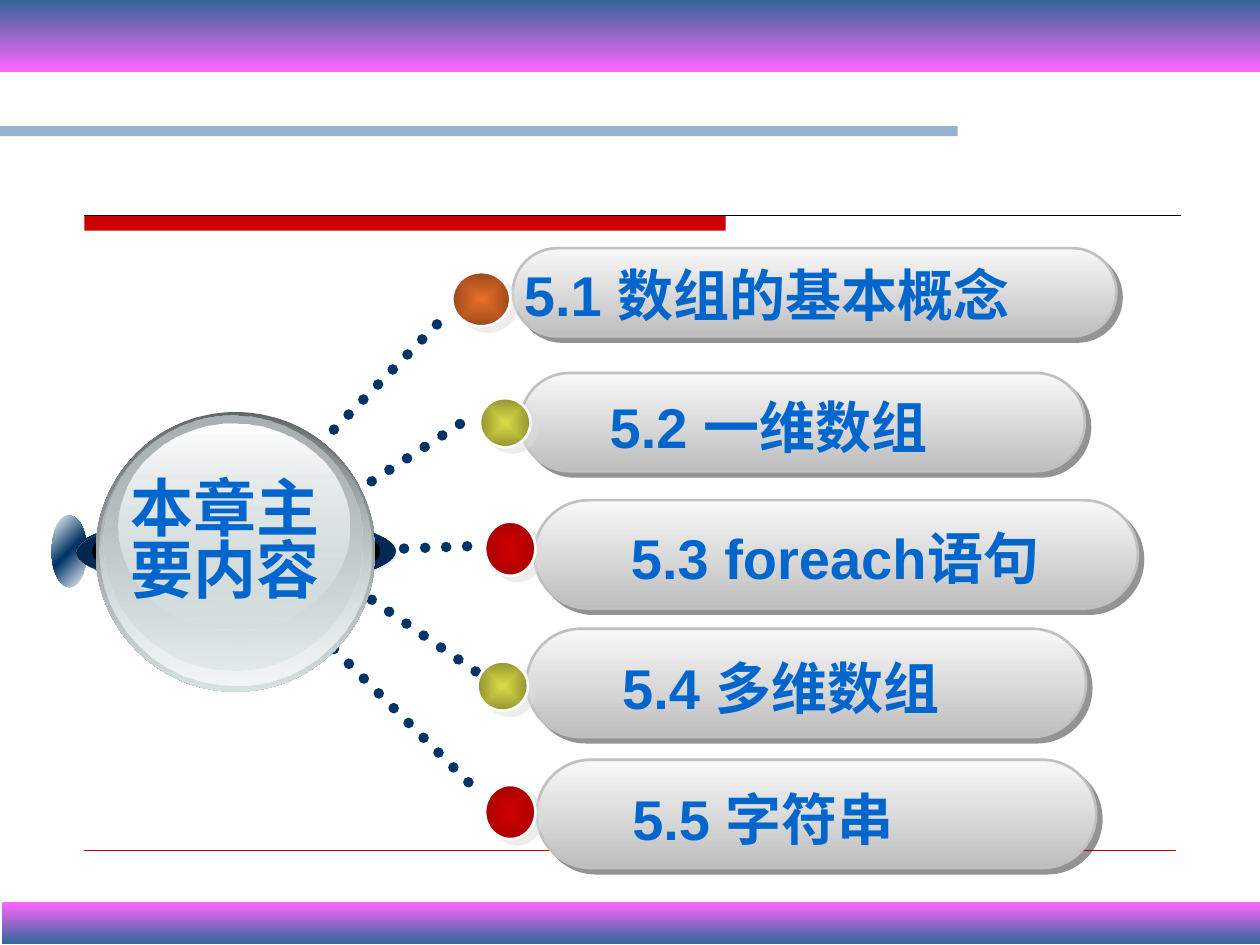
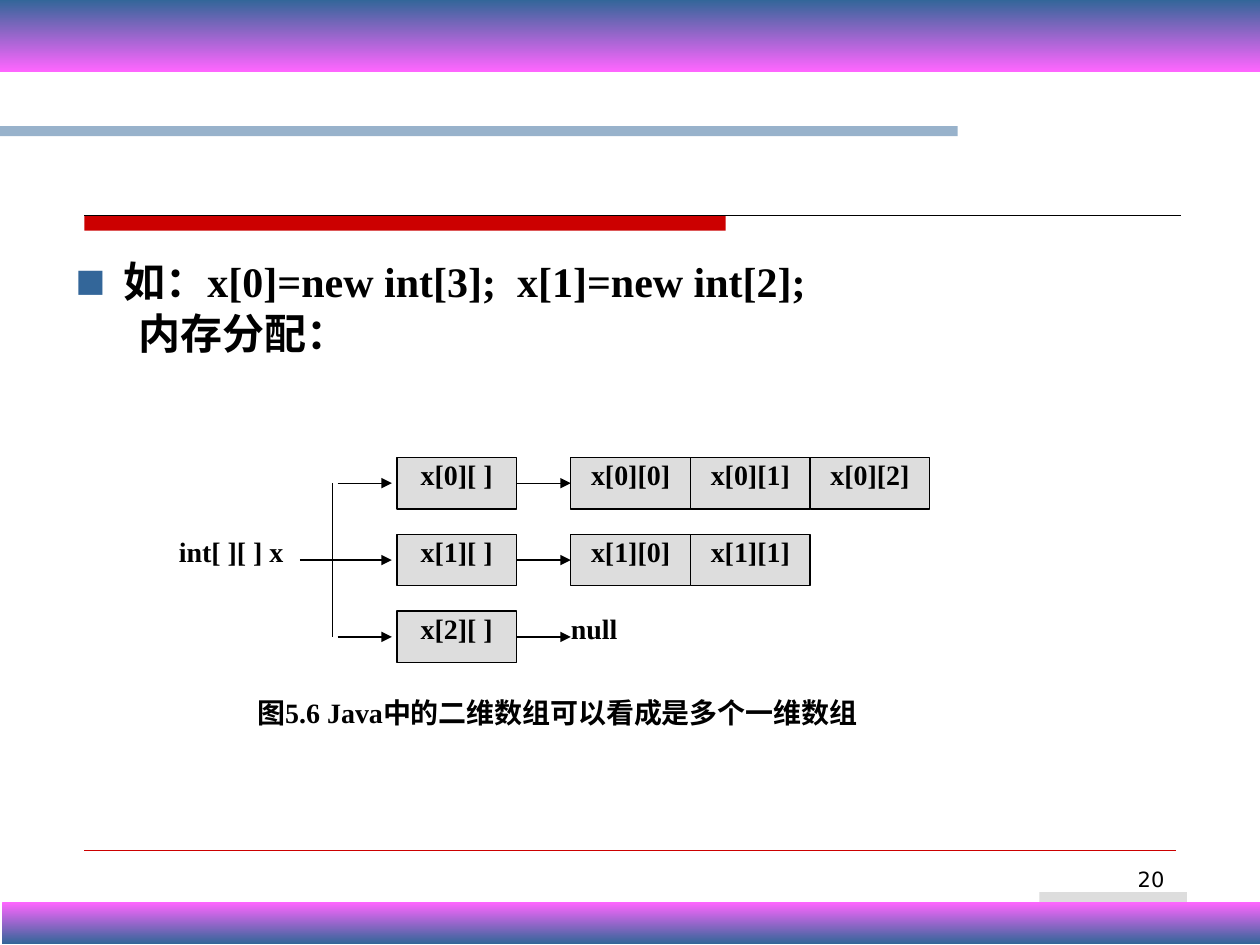
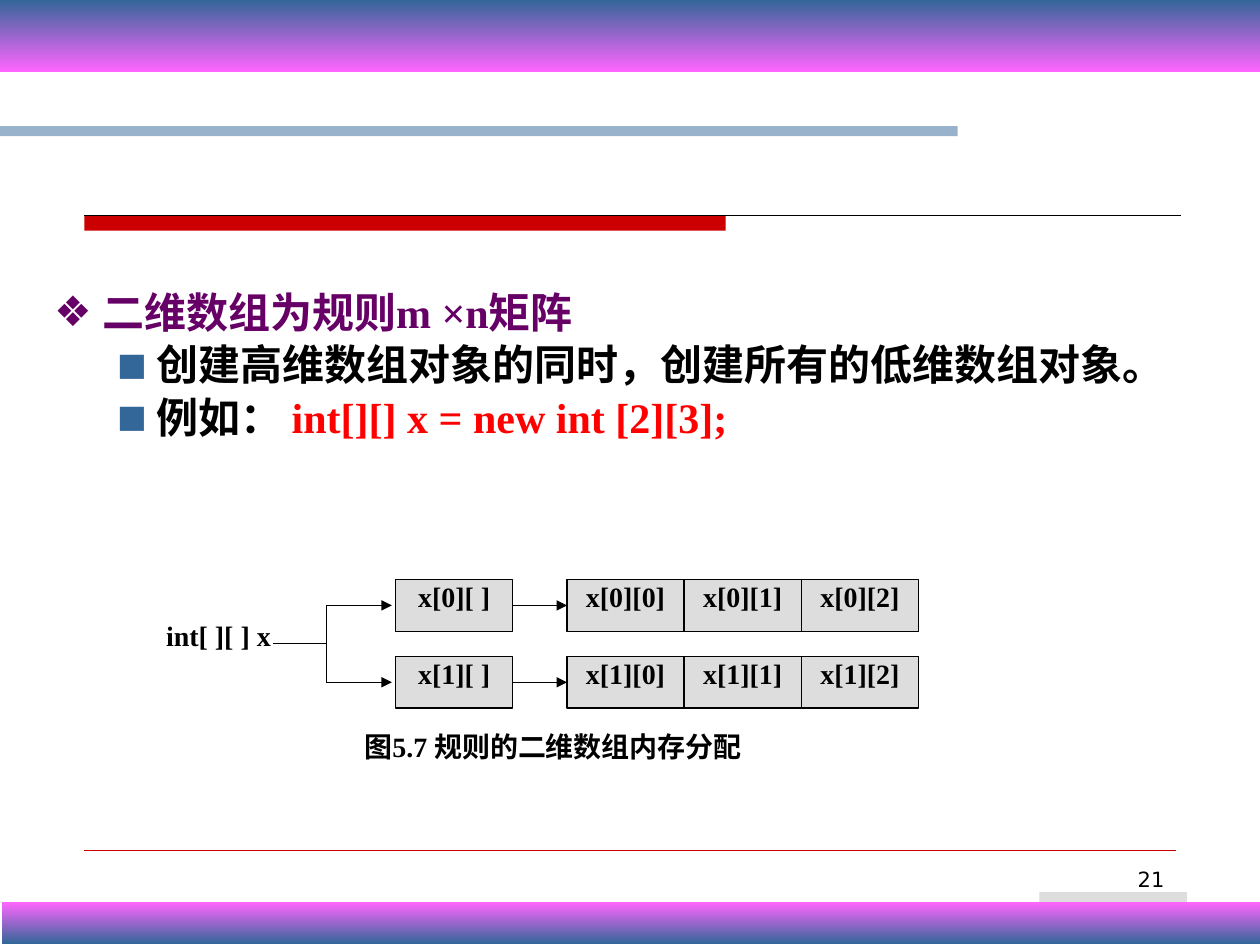
from lxml import etree
from pptx import Presentation
from pptx.dml.color import RGBColor
from pptx.enum.dml import MSO_LINE
from pptx.enum.shapes import MSO_CONNECTOR, MSO_SHAPE
from pptx.enum.text import MSO_ANCHOR, MSO_AUTO_SIZE, PP_ALIGN
from pptx.oxml.ns import qn
from pptx.util import Inches, Pt

BLACK = RGBColor(0x00, 0x00, 0x00)
WHITE = RGBColor(0xFF, 0xFF, 0xFF)
RED = RGBColor(0xCC, 0x00, 0x00)
CODE_RED = RGBColor(0xFF, 0x00, 0x00)
DARK_RED = RGBColor(0xAB, 0x00, 0x00)
PURPLE = RGBColor(0x66, 0x00, 0x66)
PINK = RGBColor(0xFF, 0x66, 0xFF)
STEEL = RGBColor(0x33, 0x66, 0x99)
NAVY = RGBColor(0x00, 0x33, 0x66)
DEEP_NAVY = RGBColor(0x00, 0x27, 0x4E)
TEXT_BLUE = RGBColor(0x00, 0x66, 0xCC)
LIGHT_GREY = RGBColor(0xDD, 0xDD, 0xDD)
SILVER = RGBColor(0xC0, 0xC0, 0xC0)
PILL_TOP = RGBColor(0xF8, 0xF8, 0xF8)
PILL_BOTTOM = RGBColor(0xBE, 0xBE, 0xBE)
SHADOW_GREY = RGBColor(0x29, 0x29, 0x29)
GLASS = RGBColor(0xD6, 0xE1, 0xE2)
GLASS_DARK = RGBColor(0x63, 0x68, 0x69)
GLASS_MID = RGBColor(0xAA, 0xB2, 0xB3)
GLASS_LIGHT = RGBColor(0xF1, 0xF5, 0xF5)
ORANGE = (RGBColor(0xE9, 0x6E, 0x29), RGBColor(0x9B, 0x49, 0x1B))
OLIVE = (RGBColor(0xDC, 0xDC, 0x48), RGBColor(0x93, 0x93, 0x30))
CRIMSON = (RED, DARK_RED)

SANS, SERIF = "Arial", "Times New Roman"
CHINESE, NUMBER_FONT = "Noto Sans CJK SC", "DejaVu Sans"
CHINESE_SPACING = 0.87

CHAPTER = "本章主\v要内容"
# text, text position, pill box, ball box, ball colours, dotted line
SECTIONS = [
    ("5.1 数组的基本概念", (4.06, 1.94), (4.07, 1.97, 4.79, 0.70),
     (3.59, 2.16, 0.46, 0.43), ORANGE, (2.65, 3.41, 3.58, 2.46)),
    ("5.2 一维数组", (4.74, 2.99), (4.13, 2.96, 4.48, 0.78),
     (3.81, 3.16, 0.40, 0.39), OLIVE, (2.95, 3.82, 3.75, 3.30)),
    ("5.3 foreach语句", (4.91, 4.03), (4.24, 3.97, 4.79, 0.86),
     (3.85, 4.14, 0.40, 0.43), CRIMSON, (3.04, 4.36, 3.85, 4.33)),
    ("5.4 多维数组", (4.84, 5.06), (4.18, 4.99, 4.44, 0.86),
     (3.79, 5.25, 0.40, 0.39), OLIVE, (2.95, 4.76, 3.85, 5.38)),
    ("5.5 字符串", (4.92, 6.10), (4.26, 6.03, 4.44, 0.86),
     (3.85, 6.23, 0.40, 0.43), CRIMSON, (2.65, 5.15, 3.77, 6.26)),
]
# box, gradient stops (position, colour, opacity), angle
GLOBE = [
    ((0.41, 4.09, 0.28, 0.57), [(0, WHITE, 100), (50, NAVY, 100), (100, WHITE, 100)], 45),
    ((0.60, 4.09, 2.54, 0.57),
     [(0, DEEP_NAVY, 100), (50, NAVY, 100), (100, DEEP_NAVY, 100)], 315),
    ((0.61, 4.10, 2.54, 0.57), [(0, DEEP_NAVY, 100), (100, NAVY, 0)], 45),
    ((0.73, 4.09, 2.29, 0.57), [(0, BLACK, 100), (100, BLACK, 100)], 0),
    ((0.76, 3.27, 2.22, 2.22), [(0, GLASS_DARK, 100), (100, GLASS, 100)], 90),
    ((0.79, 3.28, 2.16, 2.16), [(0, GLASS, 0), (100, GLASS_LIGHT, 100)], 90),
    ((0.82, 3.30, 2.06, 2.02), [(0, GLASS_MID, 100), (100, GLASS, 48)], 90),
    ((0.94, 3.36, 1.83, 1.64), [(0, WHITE, 100), (100, GLASS, 38)], 90),
]

# bullet: (symbol, colour, size in percent); runs: (text, colour)
SQUARE = ("■", STEEL, 75)
DIAMOND = ("❖", PURPLE, 100)
ARRAY_SLIDES = [
    {
        "number": "20",
        "body_box": (0.5, 2.03, 9, 1),
        "paragraphs": [
            (0, 0.38, -0.38, SQUARE,
             [("如：x[0]=new int[3];  x[1]=new int[2];", BLACK)]),
            (1, 0.5, 0, None, [("内存分配：", BLACK)]),
        ],
        "rows": [("x[0][ ]", ["x[0][0]", "x[0][1]", "x[0][2]"]),
                 ("x[1][ ]", ["x[1][0]", "x[1][1]"]),
                 ("x[2][ ]", [])],
        "caption": "图5.6 Java中的二维数组可以看成是多个一维数组",
        "caption_box": (1.95, 5.56, 4.95, 0.41),
        "top": 3.63, "cell_width": 0.95,
        "label_left": 1.3, "head_left": 3.15, "cells_left": 4.53,
        "trunk_left": 2.38, "bus": 2.64, "branch_left": 2.68,
    },
    {
        "number": "21",
        "body_box": (0.33, 2.28, 9, 1.79),
        "paragraphs": [
            (0, 0.38, -0.38, DIAMOND, [("二维数组为规则m ×n矩阵", PURPLE)]),
            (1, 0.81, -0.31, SQUARE,
             [("创建高维数组对象的同时，创建所有的低维数组对象。", BLACK)]),
            (1, 0.81, -0.31, SQUARE,
             [("例如： ", BLACK), ("int[][] x = new int [2][3];", CODE_RED)]),
        ],
        "rows": [("x[0][ ]", ["x[0][0]", "x[0][1]", "x[0][2]"]),
                 ("x[1][ ]", ["x[1][0]", "x[1][1]", "x[1][2]"])],
        "caption": "图5.7 规则的二维数组内存分配",
        "caption_box": (1.96, 5.83, 4.86, 0.41),
        "top": 4.6, "cell_width": 0.93,
        "label_left": 1.22, "head_left": 3.14, "cells_left": 4.5,
        "trunk_left": 2.17, "bus": 2.59, "branch_left": 2.59,
    },
]
ARRAY_LABEL = "int[ ][ ] x"
CELL_HEIGHT, ROW_PITCH = 0.41, 0.61
BRANCH_RIGHT = 3.11


def add_element(parent, tag, **attributes):
    element = etree.SubElement(parent, qn(tag))
    for name, value in attributes.items():
        element.set(name, str(value))
    return element


def add_color(parent, color, opacity=100):
    element = add_element(parent, "a:srgbClr", val=color)
    if opacity < 100:
        add_element(element, "a:alpha", val=opacity * 1000)


def set_gradient(shape, stops, angle=None):
    """Fill along an angle, or outward from the centre without one."""
    shape.fill.background()
    empty_fill = shape.element.spPr.find(qn("a:noFill"))
    gradient = etree.Element(qn("a:gradFill"), rotWithShape="1")
    stop_list = add_element(gradient, "a:gsLst")
    for position, color, opacity in stops:
        add_color(add_element(stop_list, "a:gs", pos=position * 1000), color, opacity)
    if angle is None:
        center = add_element(gradient, "a:path", path="shape")
        add_element(center, "a:fillToRect", l=50000, t=50000, r=50000, b=50000)
    else:
        add_element(gradient, "a:lin", ang=angle * 60000, scaled=0)
    empty_fill.getparent().replace(empty_fill, gradient)


def set_shadow(shape, color, distance, angle):
    effects = shape.element.spPr.find(qn("a:effectLst"))
    shadow = add_element(effects, "a:outerShdw", dist=Pt(distance), dir=angle * 60000,
                         algn="ctr", rotWithShape=0)
    add_color(shadow, color, 50)


def add_shape(slide, kind, box, fill=None, line=None, line_width=0.75):
    shape = slide.shapes.add_shape(kind, *map(Inches, box))
    shape.shadow.inherit = False
    if fill is not None:
        shape.fill.solid()
        shape.fill.fore_color.rgb = fill
    if line is None:
        shape.line.fill.background()
    else:
        shape.line.color.rgb = line
        shape.line.width = Pt(line_width)
    return shape


def add_line(slide, ends, color=BLACK, width=0.75, arrow=False):
    connector = slide.shapes.add_connector(MSO_CONNECTOR.STRAIGHT, *map(Inches, ends))
    connector.line.color.rgb = color
    connector.line.width = Pt(width)
    properties = connector.element.spPr
    add_element(properties, "a:effectLst")
    if arrow:
        add_element(properties.find(qn("a:ln")), "a:tailEnd", type="triangle")
    return connector


def format_run(run, size, color, font=SERIF, bold=True):
    run.font.size = Pt(size)
    run.font.bold = bold
    run.font.name = font
    run.font.color.rgb = color
    latin = run.font._element.find(qn("a:latin"))
    latin.addnext(etree.Element(qn("a:ea"), typeface=CHINESE))


def set_text(shape, text, size, color, font=SERIF, bold=True,
             align=PP_ALIGN.LEFT, spacing=1.0):
    frame = shape.text_frame
    frame.word_wrap = True
    frame.text = text
    paragraph = frame.paragraphs[0]
    paragraph.alignment = align
    paragraph.line_spacing = spacing
    for run in paragraph.runs:
        format_run(run, size, color, font, bold)


def add_text(slide, box, *text, **style):
    text_box = slide.shapes.add_textbox(*map(Inches, box))
    set_text(text_box, *text, **style)
    return text_box


def decorate_master(presentation, slide):
    """Draw the shared rules once and move them to the slide master."""
    bar = add_shape(slide, MSO_SHAPE.RECTANGLE, (0.67, 1.71, 5.09, 0.12), RED)
    rule = add_line(slide, (0.67, 1.71, 9.37, 1.71))
    footer_rule = add_line(slide, (0.67, 6.75, 9.33, 6.75), RED, 0.25)
    stripe = add_shape(slide, MSO_SHAPE.RECTANGLE, (0, 1, 7.6, 0.08))
    set_gradient(stripe, [(0, STEEL, 50), (100, STEEL, 50)], 0)
    master_tree = presentation.slide_master.element.cSld.spTree
    for shape in (bar, rule, footer_rule, stripe):
        master_tree.append(shape.element)


def add_bands(slide):
    for box, first, last in (((0.02, 7.16, 10, 0.33), PINK, STEEL),
                             ((0, 0, 10, 0.57), STEEL, PINK)):
        band = add_shape(slide, MSO_SHAPE.RECTANGLE, box)
        set_gradient(band, [(0, first, 100), (100, last, 100)], 90)


def add_page_number(slide, number):
    add_text(slide, (7.17, 6.83, 2.17, 0.52), number, 12, BLACK,
             font=NUMBER_FONT, bold=False, align=PP_ALIGN.RIGHT)
    add_shape(slide, MSO_SHAPE.RECTANGLE, (8.25, 7.08, 1.17, 0.33), LIGHT_GREY)


def build_contents(slide):
    for *_, ends in SECTIONS:
        dots = add_line(slide, ends, NAVY, 6)
        dots.line.dash_style = MSO_LINE.ROUND_DOT
        dots.element.spPr.find(qn("a:ln")).set("cap", "rnd")
    for box, stops, angle in GLOBE:
        set_gradient(add_shape(slide, MSO_SHAPE.OVAL, box), stops, angle)
    title = add_text(slide, (0.94, 3.42, 1.9, 1.8), CHAPTER, 36, TEXT_BLUE,
                     font=CHINESE, spacing=0.82)
    title.text_frame.vertical_anchor = MSO_ANCHOR.MIDDLE
    for text, position, pill_box, ball_box, (center, edge), _ in SECTIONS:
        pill = add_shape(slide, MSO_SHAPE.ROUNDED_RECTANGLE, pill_box,
                         line=SILVER, line_width=1.5)
        pill.adjustments[0] = 0.5
        set_gradient(pill, [(0, PILL_TOP, 100), (100, PILL_BOTTOM, 100)], 90)
        set_shadow(pill, SHADOW_GREY, 4.2, 45)
        ball = add_shape(slide, MSO_SHAPE.OVAL, ball_box, line=WHITE, line_width=1.5)
        set_gradient(ball, [(0, center, 100), (100, edge, 100)])
        set_shadow(ball, LIGHT_GREY, 5, 37)
        add_text(slide, (*position, 4.6, 0.72), text, 32, TEXT_BLUE,
                 font=SANS, spacing=1.14)


def set_bullet(paragraph, left, indent, bullet):
    properties = paragraph._p.get_or_add_pPr()
    properties.set("marL", str(Inches(left)))
    properties.set("indent", str(Inches(indent)))
    if bullet is None:
        add_element(properties, "a:buNone")
        return
    symbol, color, percent = bullet
    add_color(add_element(properties, "a:buClr"), color)
    add_element(properties, "a:buSzPct", val=percent * 1000)
    add_element(properties, "a:buFont", typeface=NUMBER_FONT)
    add_element(properties, "a:buChar", char=symbol)


def fill_body(body, box, paragraphs):
    body.left, body.top, body.width, body.height = map(Inches, box)
    frame = body.text_frame
    frame.auto_size = MSO_AUTO_SIZE.NONE
    frame.word_wrap = True
    frame.margin_right = 0
    for index, (level, left, indent, bullet, runs) in enumerate(paragraphs):
        paragraph = frame.paragraphs[0] if index == 0 else frame.add_paragraph()
        paragraph.level = level
        paragraph.alignment = PP_ALIGN.LEFT
        paragraph.line_spacing = CHINESE_SPACING
        paragraph.space_before = Pt(4.8 if index else 0)
        set_bullet(paragraph, left, indent, bullet)
        for text, color in runs:
            run = paragraph.add_run()
            run.text = text
            format_run(run, 24, color)


def add_cell(slide, box, text, boxed=True, align=PP_ALIGN.CENTER, spacing=1.0):
    fill, line = (LIGHT_GREY, BLACK) if boxed else (WHITE, None)
    cell = add_shape(slide, MSO_SHAPE.RECTANGLE, box, fill, line)
    frame = cell.text_frame
    frame.margin_left = frame.margin_top = frame.margin_right = frame.margin_bottom = 0
    frame.vertical_anchor = MSO_ANCHOR.TOP
    set_text(cell, text, 16, BLACK, align=align, spacing=spacing)


def build_memory_diagram(slide, content):
    width, top = content["cell_width"], content["top"]
    head_left, cells_left = content["head_left"], content["cells_left"]
    branch_left, bus = content["branch_left"], content["bus"]
    add_cell(slide, content["caption_box"], content["caption"], boxed=False,
             spacing=CHINESE_SPACING)
    for index, (head, cells) in enumerate(content["rows"]):
        row_top = top + index * ROW_PITCH
        middle = row_top + CELL_HEIGHT / 2
        add_cell(slide, (head_left, row_top, width, CELL_HEIGHT), head)
        for column, text in enumerate(cells):
            left = cells_left + column * width
            add_cell(slide, (left, row_top, width, CELL_HEIGHT), text)
        if not cells:
            add_cell(slide, (cells_left, row_top, width, CELL_HEIGHT), "null",
                     boxed=False, align=PP_ALIGN.LEFT)
        add_line(slide, (head_left + width, middle, cells_left, middle), arrow=True)
        add_line(slide, (branch_left, middle, BRANCH_RIGHT, middle), arrow=True)
    height = (len(content["rows"]) - 1) * ROW_PITCH
    label_top = top + height / 2
    first, center = top + CELL_HEIGHT / 2, label_top + CELL_HEIGHT / 2
    add_cell(slide, (content["label_left"], label_top, width, CELL_HEIGHT),
             ARRAY_LABEL, boxed=False, align=PP_ALIGN.RIGHT)
    add_line(slide, (bus, first, bus, first + height))
    add_line(slide, (content["trunk_left"], center, branch_left, center))


def main():
    presentation = Presentation()
    presentation.slide_width, presentation.slide_height = Inches(10), Inches(7.5)
    list_layout, blank_layout = (presentation.slide_layouts[i] for i in (1, 6))

    slide = presentation.slides.add_slide(blank_layout)
    decorate_master(presentation, slide)
    build_contents(slide)
    add_bands(slide)

    for content in ARRAY_SLIDES:
        slide = presentation.slides.add_slide(list_layout)
        title = slide.shapes.title.element
        title.getparent().remove(title)
        fill_body(slide.placeholders[1], content["body_box"], content["paragraphs"])
        add_page_number(slide, content["number"])
        build_memory_diagram(slide, content)
        add_bands(slide)
    presentation.save("out.pptx")


if __name__ == "__main__":
    main()
